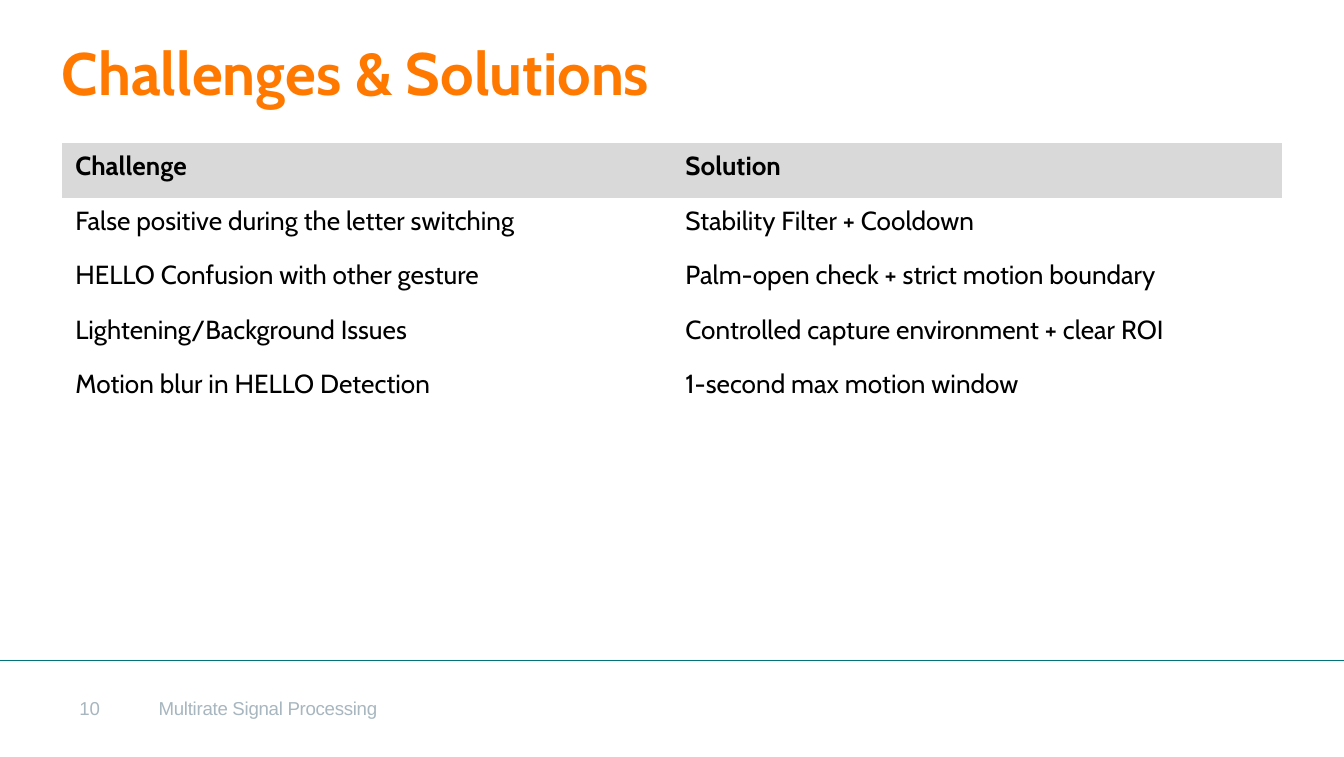
from pptx import Presentation
from pptx.dml.color import RGBColor as Rgb
from pptx.enum.shapes import MSO_CONNECTOR as Link
from pptx.enum.text import MSO_ANCHOR as Anchor, PP_ALIGN as Align
from pptx.oxml.ns import qn
from pptx.util import Cm, Pt
from lxml import etree

INK = {"title": "FF7900", "text": "000000", "head": "D9D9D9",
       "foot": "A7B6BF", "rule": "007479"}
PLAIN = "{2D5ABB26-0587-4C30-8999-92F81FD0307C}"
ROWS = [
    ("Challenge", "Solution"),
    ("False positive during the letter switching", "Stability Filter + Cooldown"),
    ("HELLO Confusion with other gesture", "Palm-open check + strict motion boundary"),
    ("Lightening/Background Issues", "Controlled capture environment + clear ROI"),
    ("Motion blur in HELLO Detection", "1-second max motion window"),
]
LEFT, WIDE = Cm(1.17), Cm(23.06)


def write(frame, text, size, face, ink, bold=False, align=Align.LEFT):
    """Put one styled line of text in a frame."""
    frame.text = text
    para = frame.paragraphs[0]
    para.alignment = align
    font = para.runs[0].font
    font.size, font.name, font.bold = Pt(size), face, bold
    font.color.rgb = Rgb.from_string(INK[ink])


def trim(frame):
    """Remove the inner margins of a frame."""
    frame.margin_left = frame.margin_right = 0
    frame.margin_top = frame.margin_bottom = 0


def add_title(slide, text):
    """Place and format the title."""
    title = slide.shapes.title
    title.left, title.top, title.width, title.height = LEFT, Cm(0.67), WIDE, Cm(1.37)
    frame = title.text_frame
    trim(frame)
    frame.vertical_anchor = Anchor.MIDDLE
    write(frame, text, 32, "Cabin", "title", True)


def add_grid(slide, rows):
    """Add the table with a grey heading row."""
    shape = slide.shapes.add_table(len(rows), 2, LEFT, Cm(2.71), WIDE, Cm(5.15))
    for style in shape.element.iter(qn("a:tableStyleId")):
        style.text = PLAIN
    table = shape.table
    table.first_row = table.horz_banding = False
    for r, row in enumerate(rows):
        for c, text in enumerate(row):
            cell = table.cell(r, c)
            write(cell.text_frame, text, 14, "Cabin", "text", r == 0)
            if r == 0:
                cell.fill.solid()
                cell.fill.fore_color.rgb = Rgb.from_string(INK["head"])
            else:
                cell.fill.background()


def add_rule(slide, top, width):
    """Draw the thin line above the footer."""
    line = slide.shapes.add_connector(Link.STRAIGHT, 0, top, width, top)
    line.line.color.rgb = Rgb.from_string(INK["rule"])
    line.line.width = Pt(0.5)
    etree.SubElement(line.element.spPr, qn("a:effectLst"))


def add_note(slide, text, left, top, width, height, align=Align.LEFT):
    """Add a small footer text and return its box."""
    box = slide.shapes.add_textbox(left, top, width, height)
    box.text_frame.word_wrap = True
    write(box.text_frame, text, 10, "Arial", "foot", align=align)
    return box


def main():
    """Build and save the slide."""
    deck = Presentation()
    deck.slide_width, deck.slide_height = Cm(25.4), Cm(14.3)
    slide = deck.slides.add_slide(deck.slide_layouts[5])
    foot = add_note(slide, "Multirate Signal Processing",
                    Cm(2.75), Cm(13.04), Cm(10.69), Cm(0.69))
    for props in foot.element.iter(qn("a:rPr")):
        props.set("spc", "-13")
    add_rule(slide, Cm(12.48), deck.slide_width)
    page = add_note(slide, "10", Cm(0.7), Cm(13.17), Cm(1.19), Cm(0.43), Align.RIGHT)
    trim(page.text_frame)
    add_grid(slide, ROWS)
    add_title(slide, "Challenges & Solutions")
    deck.save("out.pptx")


if __name__ == "__main__":
    main()
